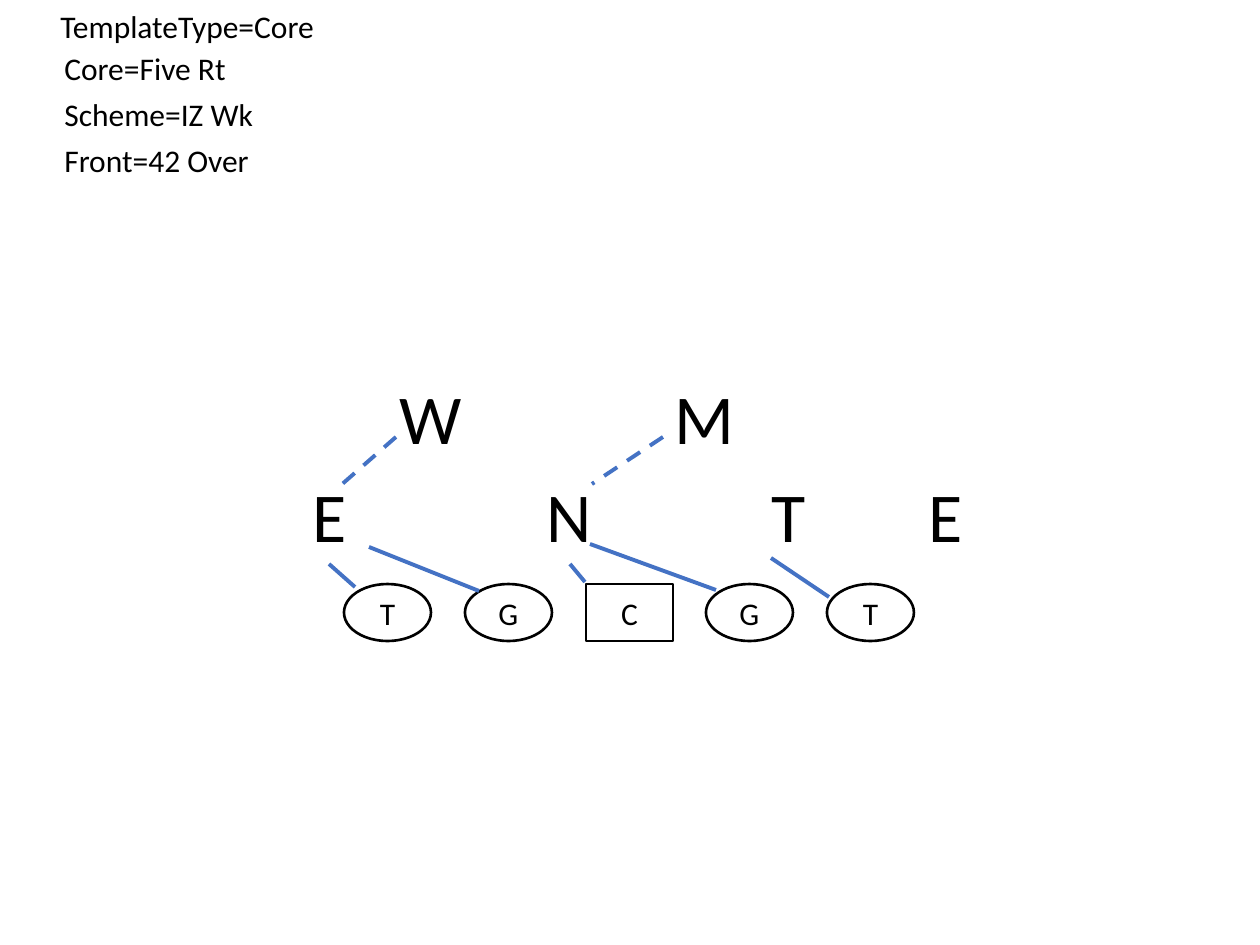
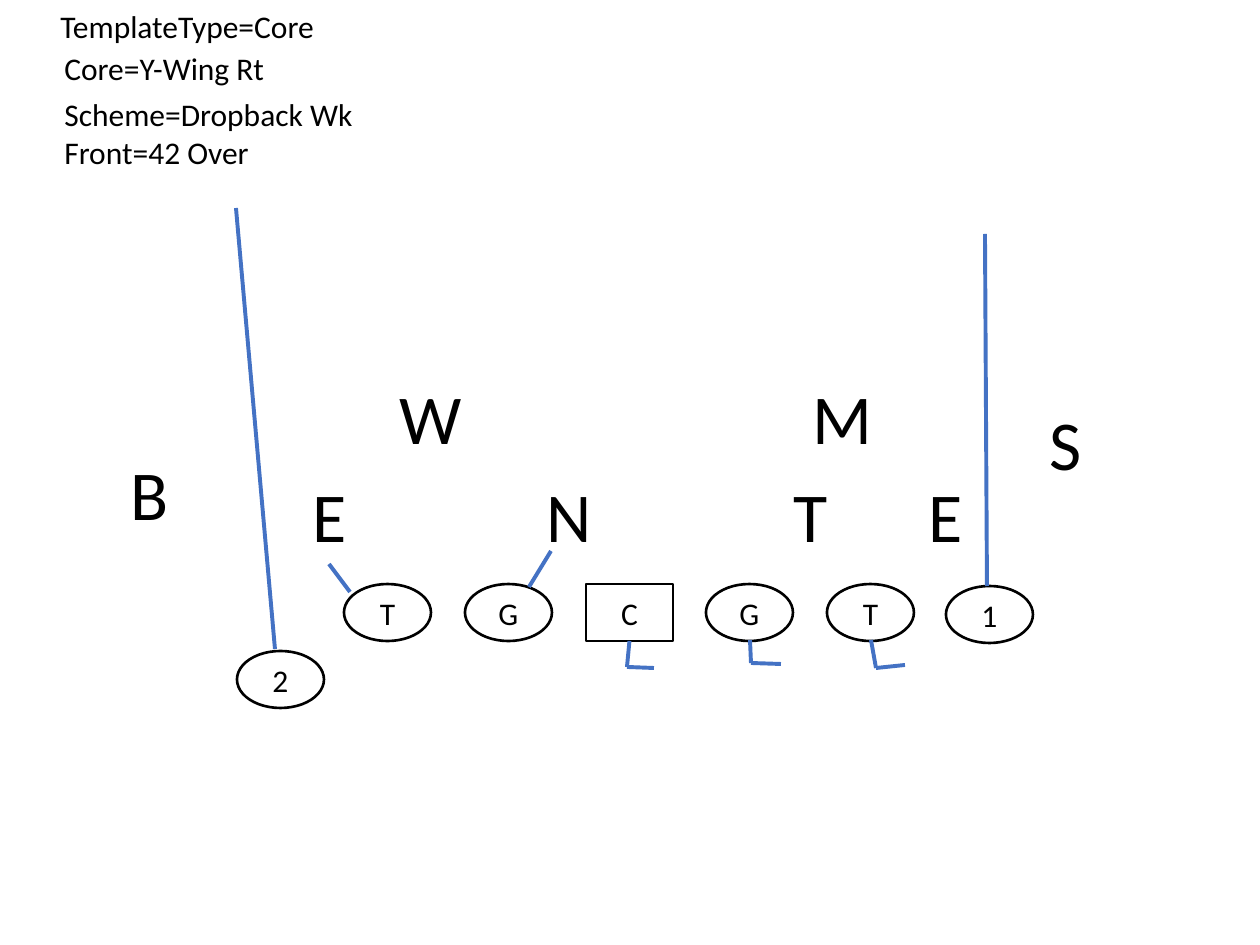
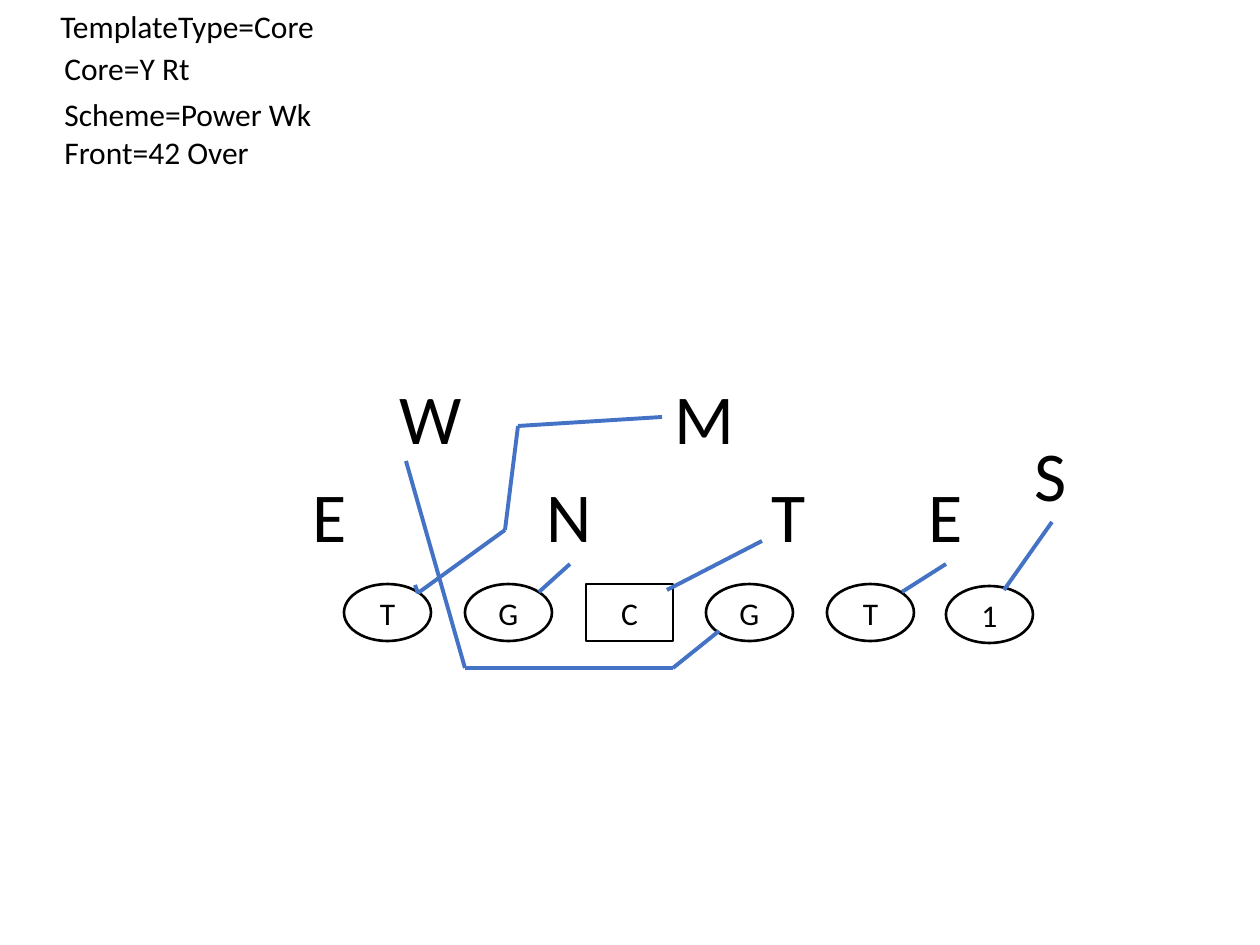
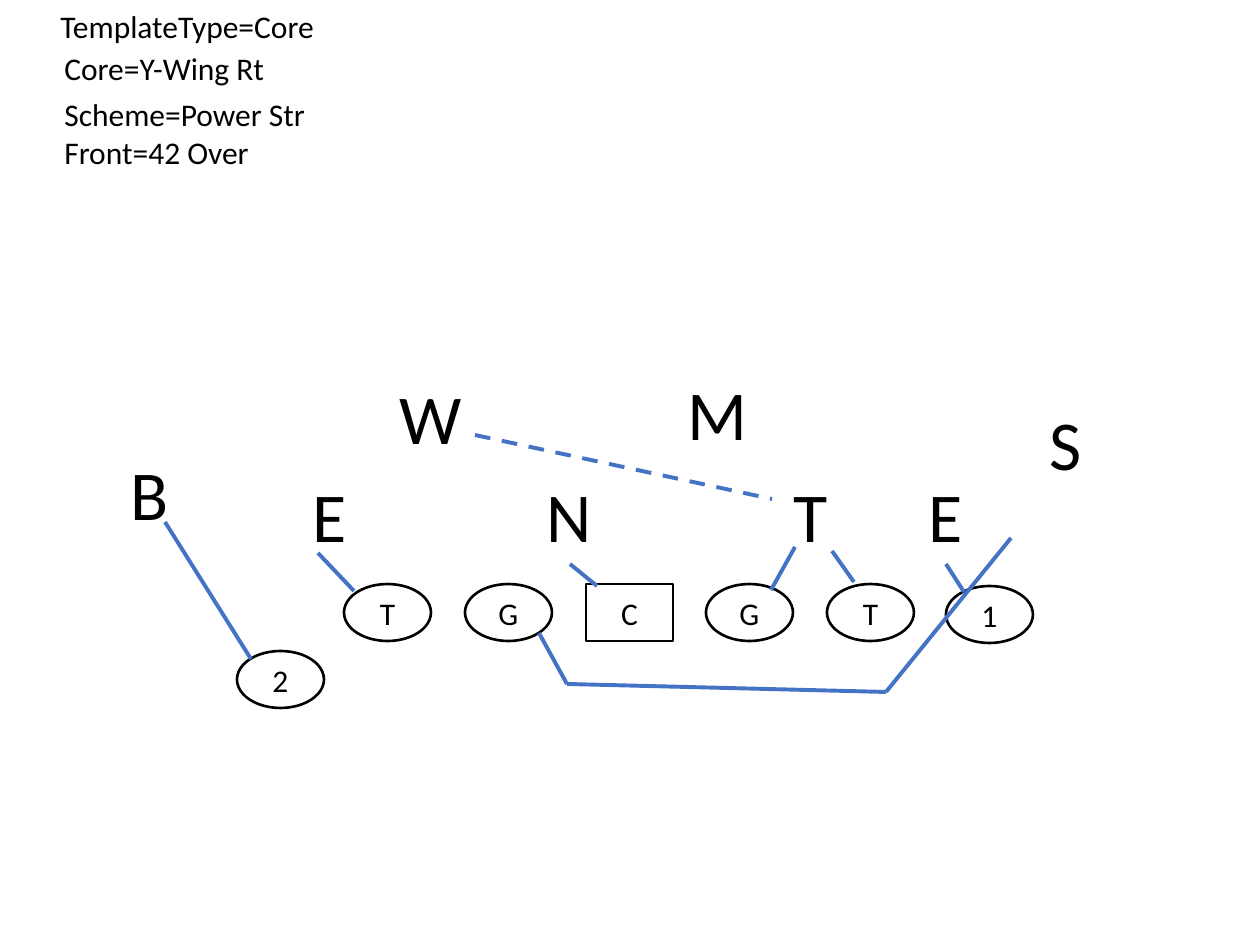
from itertools import pairwise

from lxml.etree import SubElement
from pptx import Presentation
from pptx.dml.color import RGBColor
from pptx.enum.dml import MSO_LINE
from pptx.enum.shapes import MSO_CONNECTOR, MSO_SHAPE
from pptx.enum.text import MSO_ANCHOR, MSO_AUTO_SIZE, PP_ALIGN
from pptx.oxml.ns import qn
from pptx.util import Emu, Pt

COLORS = {"ink": "000000", "paper": "FFFFFF", "route": "4472C4"}
FONT = "Calibri"
PX_PER_INCH = 126

# Offensive line: five players evenly spaced from first to last
LINEMEN = "TGCGT"
FIRST_LEFT, LAST_LEFT, LINE_TOP = 344, 827, 584
PLAYER_WIDTH, PLAYER_HEIGHT = 87, 57
CENTER_LEFT = round((FIRST_LEFT + LAST_LEFT) / 2)
CENTER_BOTTOM = (CENTER_LEFT + PLAYER_WIDTH // 2, LINE_TOP + PLAYER_HEIGHT)
BOTTOM_SITE = 2

TIGHT_END = ("1", 946, 586)
WING = ("2", 237, 651)

# Defenders: letter, left, top
DEFENDER_WIDTHS = {"N": 71, "T": 60, "E": 60, "W": 88, "M": 88, "S": 60, "B": 64}
DEFENDER_HEIGHT = 97
FRONT_TOP, BACKER_TOP = 466, 368
SHARED_DEFENDERS = [
    ("E", 300, FRONT_TOP), ("N", 534, FRONT_TOP), ("E", 916, FRONT_TOP),
    ("W", 387, BACKER_TOP),
]

LABEL_HEIGHT = 50
HEADING = ("TemplateType=Core", 48, 1, 282)
LABEL_LEFT, CORE_TOP, SCHEME_TOP = 52, 43, 89
FRONT_LABEL, FRONT_LABEL_WIDTH = "Front=42 Over", 212

PLAYS = [
    {
        "core": ("Core=Five Rt", 189),
        "scheme": ("Scheme=IZ Wk", 215),
        "front_label_top": 135,
        "receivers": [],
        "defenders": [("T", 759, FRONT_TOP), ("M", 662, BACKER_TOP)],
        "blocks": [
            [(329, 564), (355, 587)],
            [(369, 547), (479, 591)],
            [(570, 564), (585, 582)],
            [(590, 544), (716, 590)],
            [(771, 558), (829, 597)],
        ],
        "reads": [[(396, 437), (340, 486)], [(663, 437), (592, 484)]],
    },
    {
        "core": ("Core=Y-Wing Rt", 229),
        "scheme": ("Scheme=Dropback Wk", 318),
        "front_label_top": 127,
        "receivers": [TIGHT_END, WING],
        "defenders": [("T", 781, FRONT_TOP), ("M", 800, BACKER_TOP),
                      ("S", 1037, 394), ("B", 118, 444)],
        "blocks": [
            [(985, 234), (987, 586)],
            [(236, 208), (275, 649)],
            [CENTER_BOTTOM, (627, 667), (654, 668)],
            [(750, 640), (751, 663), (781, 664)],
            [(871, 640), (876, 668), (905, 665)],
            [(551, 551), (529, 587)],
            [(329, 564), (350, 592)],
        ],
        "reads": [],
    },
    {
        "core": ("Core=Y Rt", 152),
        "scheme": ("Scheme=Power Wk", 275),
        "front_label_top": 127,
        "receivers": [TIGHT_END],
        "defenders": [("T", 759, FRONT_TOP), ("M", 662, BACKER_TOP),
                      ("S", 1022, 425)],
        "blocks": [
            [(539, 592), (570, 564)],
            [(667, 590), (762, 541)],
            [(902, 592), (946, 564)],
            [(1004, 590), (1052, 522)],
            [(662, 417), (518, 426), (505, 530), (418, 593), (415, 585)],
            [(719, 631), (673, 668), (465, 668), (406, 461)],
        ],
        "reads": [],
    },
    {
        "core": ("Core=Y-Wing Rt", 229),
        "scheme": ("Scheme=Power Str", 268),
        "front_label_top": 127,
        "receivers": [TIGHT_END, WING],
        "defenders": [("T", 781, FRONT_TOP), ("M", 675, 364),
                      ("S", 1037, 394), ("B", 118, 444)],
        "blocks": [
            [(165, 522), (251, 659)],
            [(318, 553), (354, 591)],
            [(570, 564), (597, 586)],
            [(946, 564), (964, 592)],
            [(795, 547), (771, 590)],
            [(832, 551), (854, 582)],
            [(539, 633), (567, 684), (886, 692), (1011, 538)],
        ],
        "reads": [[(475, 435), (772, 499)]],
    },
]


def px(*lengths):
    return [Emu(round(length * 914400 / PX_PER_INCH)) for length in lengths]


def color(name):
    return RGBColor.from_string(COLORS[name])


def write(shape, text, size):
    paragraph = shape.text_frame.paragraphs[0]
    paragraph.text = text
    paragraph.font.name = FONT
    paragraph.font.size = Pt(size)
    paragraph.font.color.rgb = color("ink")
    return paragraph


def add_label(slide, text, left, top, width, height=LABEL_HEIGHT, size=18):
    box = slide.shapes.add_textbox(*px(left, top, width, height))
    box.text_frame.word_wrap = False
    box.text_frame.auto_size = MSO_AUTO_SIZE.SHAPE_TO_FIT_TEXT
    write(box, text, size)


def add_player(slide, letter, left, top):
    outline = MSO_SHAPE.RECTANGLE if letter == "C" else MSO_SHAPE.OVAL
    player = slide.shapes.add_shape(outline, *px(left, top, PLAYER_WIDTH, PLAYER_HEIGHT))
    player.shadow.inherit = False
    player.fill.solid()
    player.fill.fore_color.rgb = color("paper")
    player.line.color.rgb = color("ink")
    player.line.width = Pt(1.5)
    player.text_frame.vertical_anchor = MSO_ANCHOR.MIDDLE
    write(player, letter, 18).alignment = PP_ALIGN.CENTER
    return player


def add_route(slide, points, center, dashed=False):
    """Draw one straight connector for each leg of the route."""
    for start, end in pairwise(points):
        leg = slide.shapes.add_connector(MSO_CONNECTOR.STRAIGHT, *px(*start, *end))
        leg.line.color.rgb = color("route")
        leg.line.width = Pt(2.25)
        if dashed:
            leg.line.dash_style = MSO_LINE.DASH
        SubElement(leg._element.spPr, qn("a:effectLst"))
        if start == CENTER_BOTTOM:
            leg.begin_connect(center, BOTTOM_SITE)


def add_linemen(slide):
    """Draw the five linemen and return the center."""
    pitch = (LAST_LEFT - FIRST_LEFT) / (len(LINEMEN) - 1)
    players = [add_player(slide, letter, round(FIRST_LEFT + pitch * position), LINE_TOP)
               for position, letter in enumerate(LINEMEN)]
    return players[LINEMEN.index("C")]


def add_play(slide, play):
    core, core_width = play["core"]
    scheme, scheme_width = play["scheme"]
    add_label(slide, *HEADING)
    add_label(slide, core, LABEL_LEFT, CORE_TOP, core_width)
    add_label(slide, scheme, LABEL_LEFT, SCHEME_TOP, scheme_width)
    add_label(slide, FRONT_LABEL, LABEL_LEFT, play["front_label_top"], FRONT_LABEL_WIDTH)

    center = add_linemen(slide)
    for receiver in play["receivers"]:
        add_player(slide, *receiver)
    for letter, left, top in SHARED_DEFENDERS + play["defenders"]:
        add_label(slide, letter, left, top, DEFENDER_WIDTHS[letter], DEFENDER_HEIGHT, 40)
    for points in play["blocks"]:
        add_route(slide, points, center)
    for points in play["reads"]:
        add_route(slide, points, center, dashed=True)


def main():
    presentation = Presentation()
    presentation.slide_width, presentation.slide_height = px(1260, 945)
    blank_layout = presentation.slide_layouts[6]
    for play in PLAYS:
        add_play(presentation.slides.add_slide(blank_layout), play)
    presentation.save("out.pptx")


if __name__ == "__main__":
    main()
